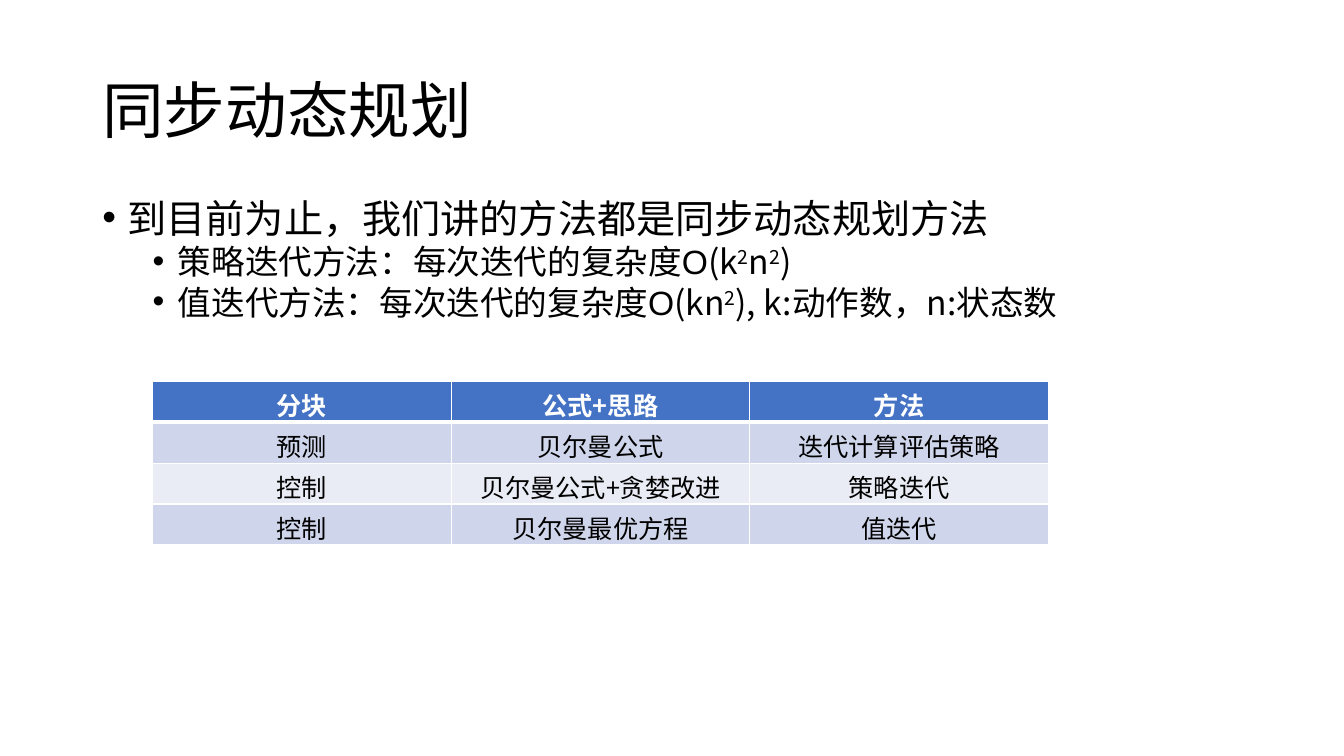
from dataclasses import dataclass

from lxml import etree
from pptx import Presentation
from pptx.dml.color import RGBColor
from pptx.enum import text as t
from pptx.oxml import ns
from pptx.util import Pt

BLACK = RGBColor(0x00, 0x00, 0x00)
WHITE = RGBColor(0xFF, 0xFF, 0xFF)
HEADER_BLUE = RGBColor(0x44, 0x72, 0xC4)
BAND_DARK = RGBColor(0xCF, 0xD5, 0xEA)
BAND_LIGHT = RGBColor(0xE9, 0xEB, 0xF5)
FONT = "Noto Sans CJK SC"
LATIN_FONT = "Arial"
MARGIN_LEFT, CONTENT_WIDTH, BLOCK_HEIGHT = 66, 828, 104.4


@dataclass(frozen=True)
class Span:
    words: str
    raised: bool = False
    font: str = ""


@dataclass(frozen=True)
class Point:
    spans: tuple[Span, ...]
    size: float
    left: float
    level: int = 0
    before: float = 0


SQUARED = Span("2", raised=True)
BIG_O = Span("O", font=LATIN_FONT)
POINTS = (
    Point((Span("到目前为止，我们讲的方法都是同步动态规划方法"),), 28, 18),
    Point((Span("策略迭代方法：每次迭代的复杂度"), BIG_O, Span("(k"), SQUARED,
           Span("n"), SQUARED, Span(")")), 24, 54, 1, 8),
    Point((Span("值迭代方法：每次迭代的复杂度"), BIG_O, Span("(kn"), SQUARED,
           Span("), k:动作数，n:状态数")), 24, 54, 1, 8),
)
METHODS = (
    ("分块", "公式+思路", "方法"),
    ("预测", "贝尔曼公式", "迭代计算评估策略"),
    ("控制", "贝尔曼公式+贪婪改进", "策略迭代"),
    ("控制", "贝尔曼最优方程", "值迭代"),
)


def style(paragraph, size: float, color: RGBColor, bold: bool = False) -> None:
    font = paragraph.font
    font.size, font.bold, font.name = Pt(size), bold, FONT
    font.color.rgb = color
    latin = font._element.find(ns.qn("a:latin"))
    east_asian = etree.Element(ns.qn("a:ea"), typeface=FONT)
    latin.addnext(east_asian)


def add_block(slide, top: float, anchor):
    box = slide.shapes.add_textbox(Pt(MARGIN_LEFT), Pt(top), Pt(CONTENT_WIDTH), Pt(BLOCK_HEIGHT))
    frame = box.text_frame
    frame.word_wrap = True
    frame.vertical_anchor = anchor
    return frame


def add_title(slide, words: str) -> None:
    heading = add_block(slide, 28.8, t.MSO_ANCHOR.MIDDLE).paragraphs[0]
    heading.text = words
    heading.line_spacing = 0.9
    style(heading, 44, BLACK)


def write_point(paragraph, point: Point) -> None:
    paragraph.level = point.level
    properties = paragraph._p.get_or_add_pPr()
    properties.set("marL", str(Pt(point.left)))
    properties.set("indent", str(Pt(-18)))
    etree.SubElement(properties, ns.qn("a:buFont"), typeface=LATIN_FONT)
    etree.SubElement(properties, ns.qn("a:buChar"), char="•")
    paragraph.line_spacing = 0.72
    paragraph.space_before = Pt(point.before)
    style(paragraph, point.size, BLACK)
    for span in point.spans:
        run = paragraph.add_run()
        run.text = span.words
        if span.font:
            run.font.name = span.font
        if span.raised:
            run._r.get_or_add_rPr().set("baseline", "30000")


def add_points(slide, points: tuple[Point, ...]) -> None:
    frame = add_block(slide, 144, t.MSO_ANCHOR.TOP)
    for index, point in enumerate(points):
        write_point(frame.add_paragraph() if index else frame.paragraphs[0], point)


def add_borders(cell, row: int) -> None:
    properties = cell._tc.get_or_add_tcPr()
    widths = {"L": 1, "R": 1, "T": 3 if row == 1 else 1, "B": 3 if row == 0 else 1}
    for side, width in widths.items():
        line = etree.SubElement(properties, ns.qn(f"a:ln{side}"), w=str(Pt(width)))
        fill = etree.SubElement(line, ns.qn("a:solidFill"))
        etree.SubElement(fill, ns.qn("a:srgbClr"), val=str(WHITE))


def add_methods(slide, rows: tuple[tuple[str, ...], ...]) -> None:
    row_height = 29.2
    table = slide.shapes.add_table(len(rows), len(rows[0]), Pt(108.9), Pt(272.4),
                                   Pt(640), Pt(row_height * len(rows))).table
    for row, entries in enumerate(rows):
        header = row == 0
        band = HEADER_BLUE if header else BAND_DARK if row % 2 else BAND_LIGHT
        for column, words in enumerate(entries):
            cell = table.cell(row, column)
            add_borders(cell, row)
            cell.fill.solid()
            cell.fill.fore_color.rgb = band
            entry = cell.text_frame.paragraphs[0]
            entry.text = words
            entry.alignment = t.PP_ALIGN.CENTER
            style(entry, 18, WHITE if header else BLACK, header)


def main() -> None:
    deck = Presentation()
    deck.slide_width, deck.slide_height = Pt(960), Pt(540)
    slide = deck.slides.add_slide(deck.slide_layouts[6])
    add_title(slide, "同步动态规划")
    add_points(slide, POINTS)
    add_methods(slide, METHODS)
    deck.save("out.pptx")


if __name__ == "__main__":
    main()
